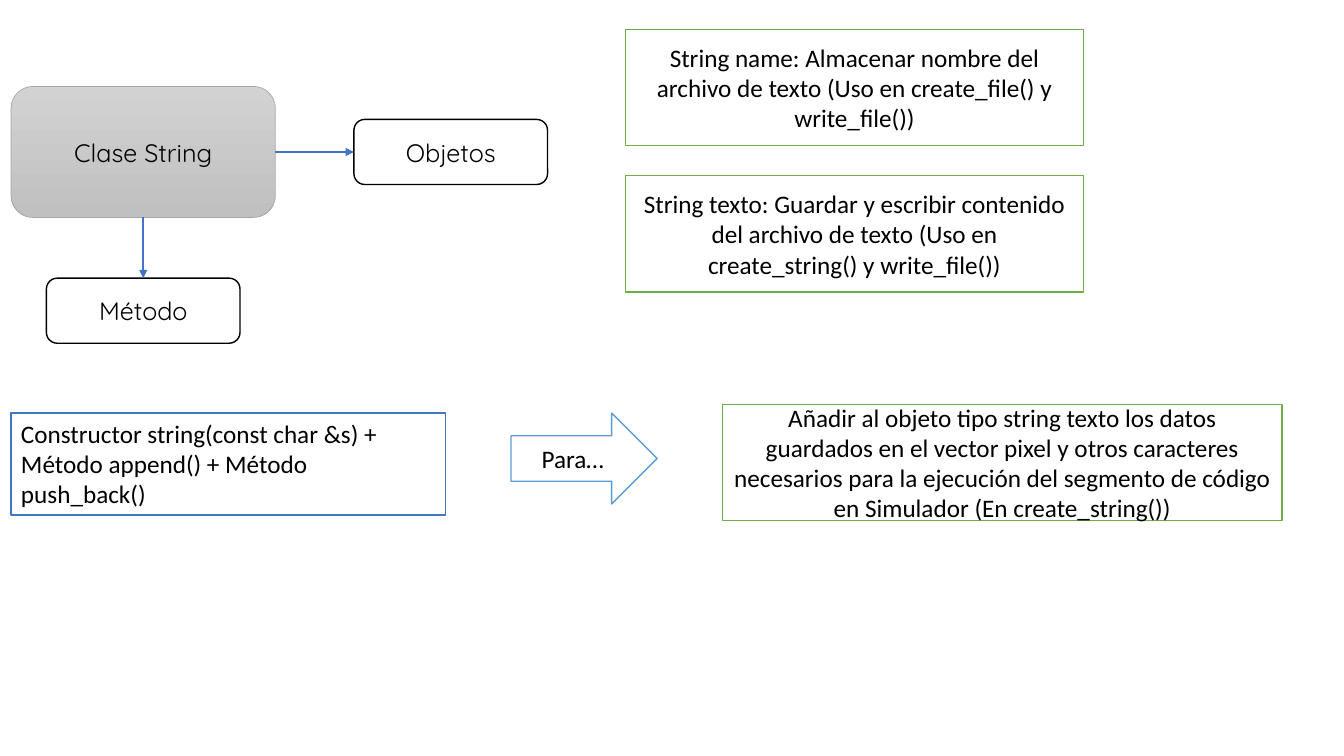
from pptx import Presentation
from pptx.dml.color import RGBColor
from pptx.enum.shapes import MSO_CONNECTOR, MSO_SHAPE
from pptx.enum.text import MSO_ANCHOR, MSO_AUTO_SIZE, PP_ALIGN
from pptx.oxml.ns import qn
from pptx.util import Cm, Pt
from lxml.etree import SubElement


class Theme:
    black = RGBColor(0, 0, 0)
    white = RGBColor(255, 255, 255)
    gray = RGBColor(0xA5, 0xA5, 0xA5)
    light = RGBColor(0xD2, 0xD2, 0xD2)
    dark = RGBColor(0xC0, 0xC0, 0xC0)
    blue = RGBColor(0x44, 0x72, 0xC4)
    sky = RGBColor(0x5B, 0x9B, 0xD5)
    green = RGBColor(0x70, 0xAD, 0x47)
    title = "Quicksand"
    body = "Calibri"
    size = Pt(18)


deck = Presentation()
deck.slide_width, deck.slide_height = Cm(33.87), Cm(19.05)
slide = deck.slides.add_slide(deck.slide_layouts[6])


def add_box(kind, left, top, width, height, color, font, text):
    box = slide.shapes.add_shape(kind, Cm(left), Cm(top), Cm(width), Cm(height))
    box.shadow.inherit = False
    box.fill.solid()
    box.fill.fore_color.rgb = Theme.white
    box.line.color.rgb = color
    box.line.width = Pt(1)
    frame = box.text_frame
    frame.word_wrap = True
    frame.vertical_anchor = MSO_ANCHOR.MIDDLE
    line = frame.paragraphs[0]
    line.text = text
    line.alignment = PP_ALIGN.CENTER
    line.font.name = font
    line.font.size = Theme.size
    line.font.color.rgb = Theme.black
    return box


def add_link(start, side, end, goal):
    link = slide.shapes.add_connector(MSO_CONNECTOR.STRAIGHT, 0, 0, 0, 0)
    link.begin_connect(start, side)
    link.end_connect(end, goal)
    link.line.color.rgb = Theme.blue
    link.line.width = Pt(1.5)
    SubElement(link.line._get_or_add_ln(), qn("a:tailEnd"), type="triangle")
    SubElement(link._element.spPr, qn("a:effectLst"))


ROUND, RECT = MSO_SHAPE.ROUNDED_RECTANGLE, MSO_SHAPE.RECTANGLE

root = add_box(ROUND, 0.28, 2.18, 6.66, 3.3, Theme.gray, Theme.title, "Clase String")
root.line.width = Pt(0.5)
root.fill.gradient()
root.fill.gradient_angle = 270
for stop, color in zip(root.fill.gradient_stops, (Theme.light, Theme.dark)):
    stop.color.rgb = color

method = add_box(ROUND, 1.17, 7.01, 4.88, 1.64, Theme.black, Theme.title, "Método")
item = add_box(ROUND, 8.92, 3.01, 4.88, 1.64, Theme.black, Theme.title, "Objetos")
add_link(root, 3, item, 1)
add_link(root, 2, method, 0)

notes = [
    (15.77, 0.74, 11.53, "String name: Almacenar nombre del archivo de texto "
     "(Uso en create_file() y write_file())"),
    (15.77, 4.43, 11.53, "String texto: Guardar y escribir contenido del archivo de texto "
     "(Uso en create_string() y write_file())"),
    (18.21, 10.19, 14.1, "Añadir al objeto tipo string texto los datos guardados en el "
     "vector pixel y otros caracteres necesarios para la ejecución del segmento de código "
     "en Simulador (En create_string())"),
]
for left, top, width, text in notes:
    add_box(RECT, left, top, width, 2.93, Theme.green, Theme.body, text)

build = add_box(RECT, 0.28, 10.41, 10.95, 2.57, Theme.blue, Theme.body,
                "Constructor string(const char &s) + Método append() + Método push_back()")
build.text_frame.vertical_anchor = MSO_ANCHOR.TOP
build.text_frame.auto_size = MSO_AUTO_SIZE.SHAPE_TO_FIT_TEXT
build.text_frame.paragraphs[0].alignment = PP_ALIGN.LEFT

add_box(MSO_SHAPE.RIGHT_ARROW, 12.88, 10.41, 3.68, 2.29, Theme.sky, Theme.body, "Para…")

deck.save("out.pptx")
